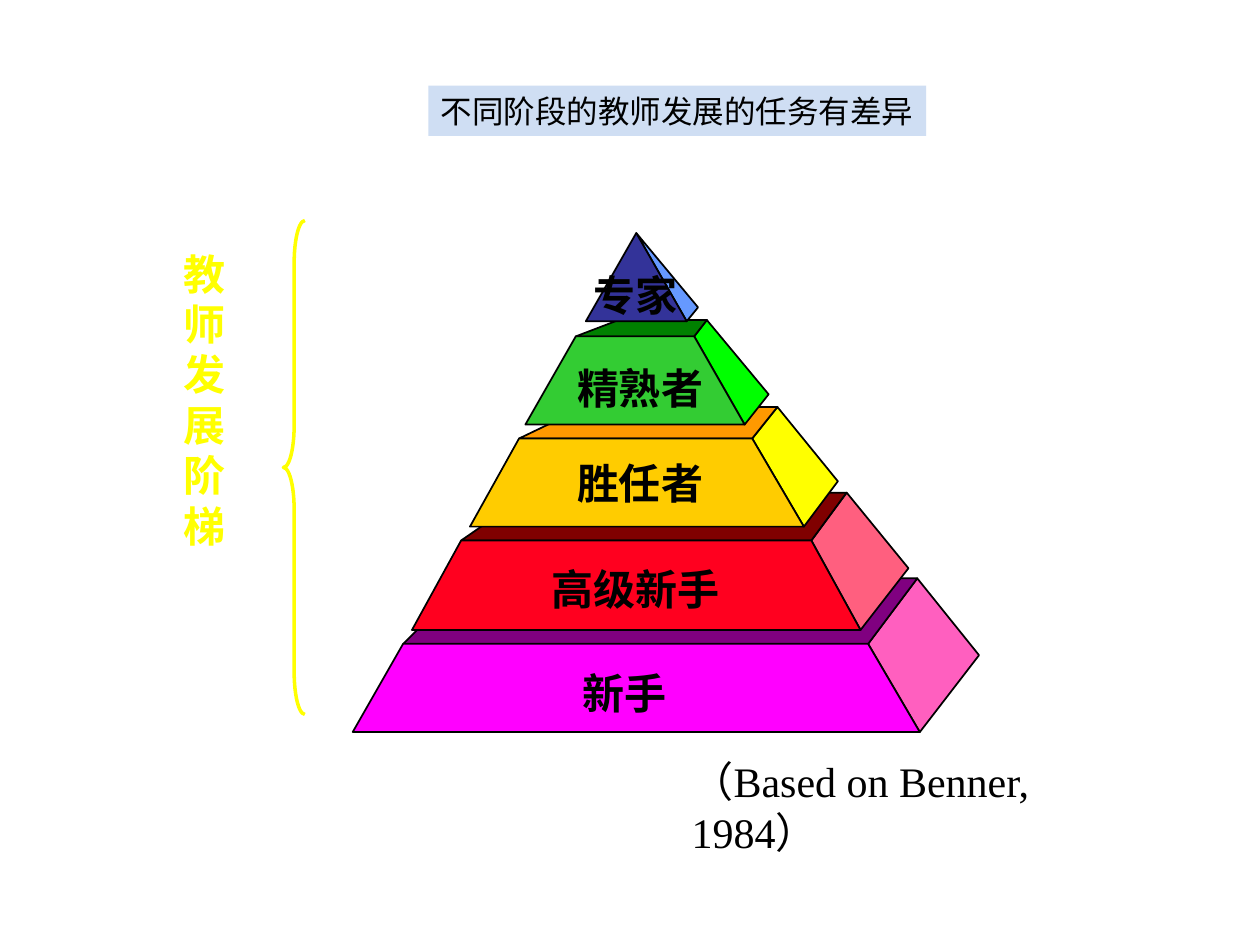
"""Build a slide with a five-tier pyramid of teacher development stages."""
import pptx
import pptx.dml.color
import pptx.enum.shapes
import pptx.enum.text
import pptx.util

Inches = pptx.util.Inches
Pt = pptx.util.Pt
Align = pptx.enum.text.PP_ALIGN
Shape = pptx.enum.shapes.MSO_SHAPE


def color(value):
    """Turn a hex string into a colour."""
    return pptx.dml.color.RGBColor.from_string(value)


def write(box, text, size, font, ink="000000", bold=False, align=Align.CENTER, wrap=True):
    """Fill a box with one styled paragraph."""
    frame = box.text_frame
    frame.word_wrap = wrap
    frame.auto_size = pptx.enum.text.MSO_AUTO_SIZE.SHAPE_TO_FIT_TEXT
    frame.vertical_anchor = pptx.enum.text.MSO_ANCHOR.TOP
    para = frame.paragraphs[0]
    para.text = text
    para.alignment = align
    para.font.size = Pt(size)
    para.font.name = font
    para.font.bold = bold
    para.font.color.rgb = color(ink)


deck = pptx.Presentation()
deck.slide_width, deck.slide_height = Inches(10), Inches(7.5)
page = deck.slides.add_slide(deck.slide_layouts[6])

tiers = [
    # base left, base right, top left, top right, back left, back right, side corner
    ((2.8, 5.81), (7.3, 5.81), (3.2, 5.11), (6.89, 5.11), (3.72, 4.59), (7.28, 4.59), (7.77, 5.2),
     ("FF5FBF", "800080", "FF00FF")),
    ((3.27, 5), (6.83, 5), (3.66, 4.29), (6.44, 4.29), (4.21, 3.91), (6.72, 3.91), (7.21, 4.51),
     ("FF5F7F", "800000", "FF001F")),
    ((3.73, 4.18), (6.38, 4.18), (4.12, 3.48), (5.97, 3.48), (4.64, 3.23), (6.17, 3.23), (6.65, 3.82),
     ("FFFF00", "FF9900", "FFCC00")),
    ((4.17, 3.37), (5.91, 3.37), (4.57, 2.67), (5.51, 2.67), (4.91, 2.54), (5.61, 2.54), (6.1, 3.13),
     ("00FF00", "008000", "33CC33")),
    ((4.65, 2.55), (5.45, 2.55), (5.05, 1.85), (5.05, 1.85), (5.05, 1.85), (5.05, 1.85), (5.54, 2.44),
     ("6699FF", None, "333399")),
]
for base_left, base_right, top_left, top_right, back_left, back_right, corner, fills in tiers:
    side = [base_right, top_right, back_right, corner]
    lid = [top_left, top_right, back_right, back_left]
    front = [base_left, base_right, top_right, top_left]
    for outline, fill in zip((side, lid, front), fills):
        if fill is None:
            continue
        points = [(Inches(x), Inches(y)) for x, y in dict.fromkeys(outline)]
        builder = page.shapes.build_freeform(*points[0], scale=1.0)
        builder.add_line_segments(points[1:], close=True)
        face = builder.convert_to_shape()
        face.shadow.inherit = False
        face.fill.solid()
        face.fill.fore_color.rgb = color(fill)
        face.line.color.rgb = color("000000")
        face.line.width = Pt(1)

brace = page.shapes.add_shape(Shape.LEFT_BRACE, Inches(2.25), Inches(1.75), Inches(0.17), Inches(3.92))
brace.adjustments[0] = 1.96
brace.shadow.inherit = False
brace.fill.background()
brace.line.color.rgb = color("FFFF00")
brace.line.width = Pt(2)

labels = [
    ("新手", 4.5, 5.25, 0.92, 0.5, "000000"),
    ("高级新手", 3.92, 4.42, 2.25, 0.5, "000000"),
    ("胜任者", 4.08, 3.58, 2, 0.5, "000000"),
    ("精熟者", 4.08, 2.83, 2, 0.5, "000000"),
    ("专家", 4.58, 2.09, 0.92, 0.5, "000000"),
    ("教师发展阶梯", 1.33, 1.92, 0.58, 2.5, "FFFF00"),
]
for text, left, top, width, height, ink in labels:
    label = page.shapes.add_textbox(Inches(left), Inches(top), Inches(width), Inches(height))
    write(label, text, 24, "Times New Roman", ink, bold=True)

credit = page.shapes.add_textbox(Inches(5.39), Inches(5.95), Inches(3.75), Inches(0.9))
write(credit, "（Based on Benner, 1984）", 24, "Times New Roman", align=Align.LEFT)

title = page.shapes.add_shape(Shape.RECTANGLE, Inches(3.4), Inches(0.68), Inches(3.95), Inches(0.4))
title.shadow.inherit = False
title.fill.solid()
title.fill.fore_color.rgb = color("CFDEF3")
title.line.fill.background()
write(title, "不同阶段的教师发展的任务有差异", 18, "Arial", align=Align.LEFT, wrap=False)

deck.save("out.pptx")
